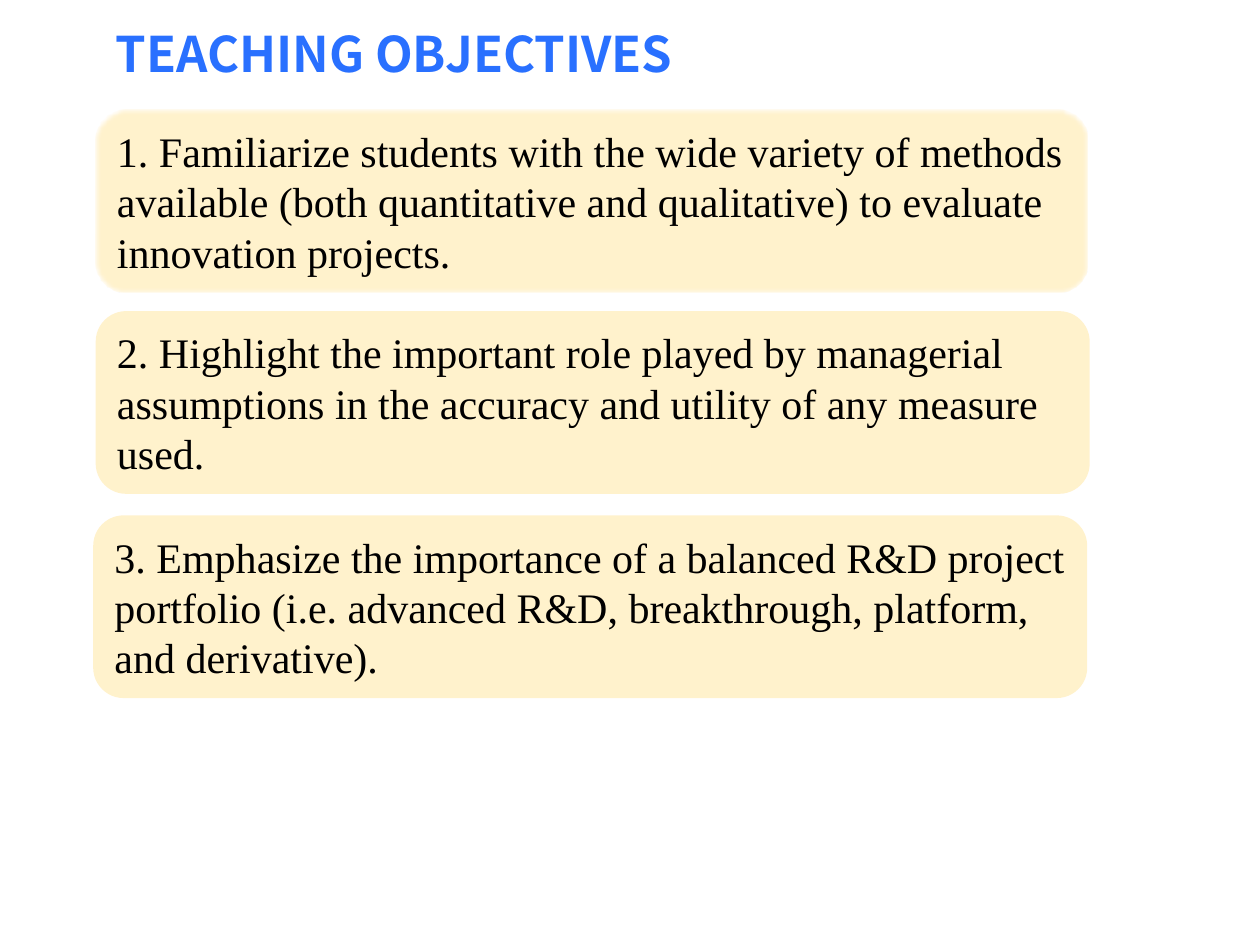
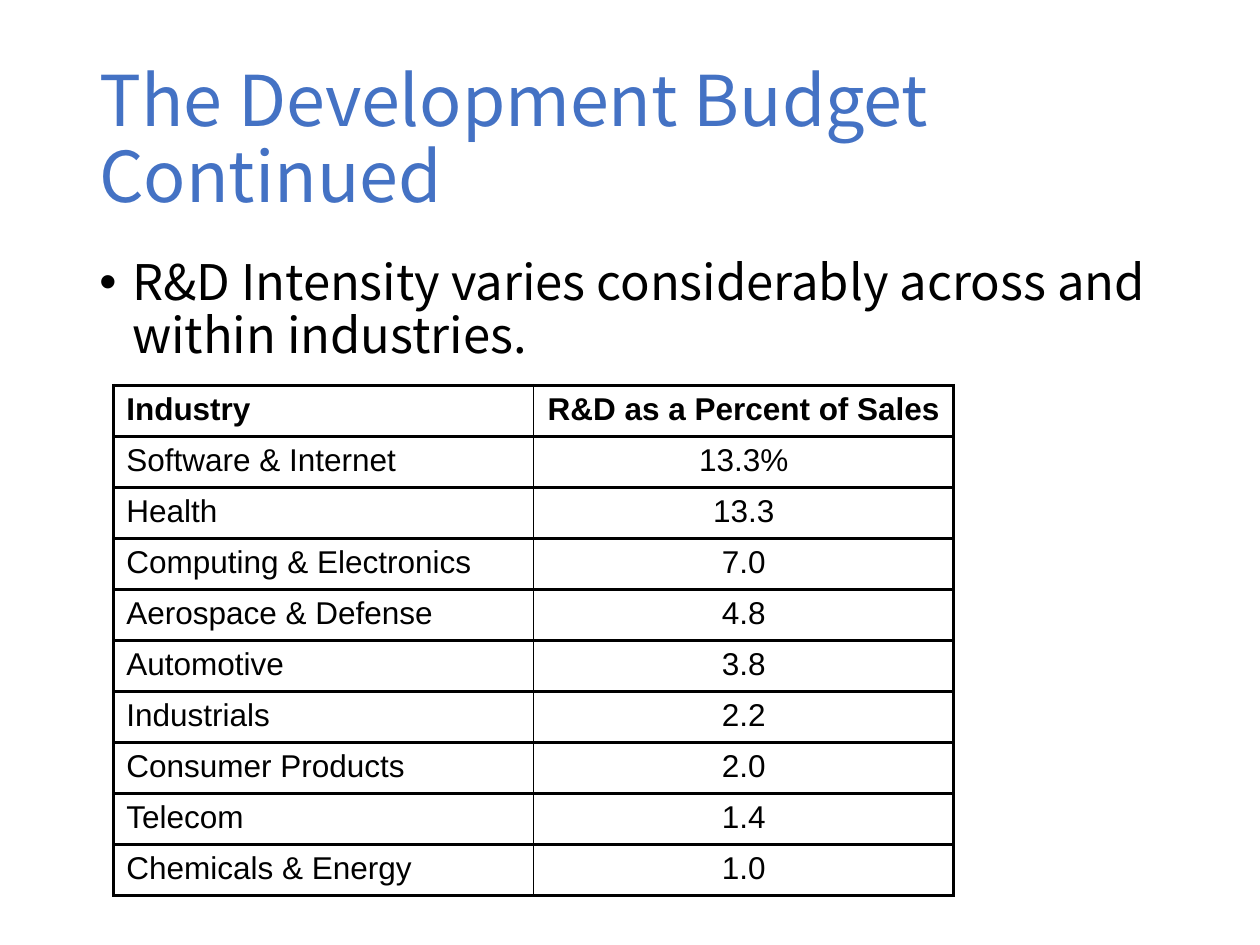
from lxml.etree import SubElement
from pptx import Presentation
from pptx.dml.color import RGBColor
from pptx.enum.shapes import MSO_SHAPE
from pptx.enum.text import MSO_ANCHOR, PP_ALIGN
from pptx.oxml.ns import qn
from pptx.util import Pt

BLUE = RGBColor(0x29, 0x70, 0xFF)
STEEL = RGBColor(0x44, 0x72, 0xC4)
GOLD = RGBColor(0xFF, 0xC0, 0x00)
BLACK = RGBColor(0, 0, 0)
SANS = "Noto Sans CJK SC"
SERIF = "Times New Roman"
GRID = "Arial"

CARD_H = 104.4
GOALS = [
    (54.7, 62.6, 566.6, "1. Familiarize students with the wide variety of methods "
     "available (both quantitative and qualitative) to evaluate innovation projects."),
    (54.7, 177.8, 568, "2. Highlight the important role played by managerial "
     "assumptions in the accuracy and utility of any measure used."),
    (53.3, 294.5, 568, "3. Emphasize the importance of a balanced R&D project "
     "portfolio (i.e. advanced R&D, breakthrough, platform, and derivative)."),
]
SHARES = [
    ("Industry", "R&D as a Percent of Sales"),
    ("Software & Internet", "13.3%"),
    ("Health", "13.3"),
    ("Computing & Electronics", "7.0"),
    ("Aerospace & Defense", "4.8"),
    ("Automotive", "3.8"),
    ("Industrials", "2.2"),
    ("Consumer Products", "2.0"),
    ("Telecom", "1.4"),
    ("Chemicals & Energy", "1.0"),
]


def points(*box):
    return [Pt(n) for n in box]


def write(frame, text, face, size, color, bold=False):
    frame.text = text
    para = frame.paragraphs[0]
    font = para.runs[0].font
    font.name, font.size, font.bold = face, Pt(size), bold
    font.color.rgb = color
    return para


def add_text(slide, box, text, size, color, bold=False, anchor=MSO_ANCHOR.MIDDLE):
    frame = slide.shapes.add_textbox(*points(*box)).text_frame
    frame.word_wrap = True
    frame.vertical_anchor = anchor
    para = write(frame, text, SANS, size, color, bold)
    para.line_spacing = 0.9
    return para


def add_bullet(slide, box, text):
    para = add_text(slide, box, text, 28, BLACK, anchor=MSO_ANCHOR.TOP)
    para.space_before = Pt(7.5)
    props = para._p.get_or_add_pPr()
    props.set("marL", str(Pt(18.75)))
    props.set("indent", str(-Pt(18.75)))
    SubElement(props, qn("a:buFont"), typeface="Arial")
    SubElement(props, qn("a:buChar"), char="•")


def add_card(slide, box, text, soft=False):
    card = slide.shapes.add_shape(MSO_SHAPE.ROUNDED_RECTANGLE, *points(*box))
    card.shadow.inherit = False
    card.line.fill.background()
    card.fill.solid()
    card.fill.fore_color.rgb = GOLD
    # Let the white page show through the gold
    tint = card._element.spPr.find(".//" + qn("a:srgbClr"))
    SubElement(tint, qn("a:alpha"), val="20000")
    if soft:
        effects = card._element.spPr.find(qn("a:effectLst"))
        SubElement(effects, qn("a:softEdge"), rad=str(Pt(1)))
    frame = card.text_frame
    frame.word_wrap = True
    frame.vertical_anchor = MSO_ANCHOR.MIDDLE
    write(frame, text, SERIF, 24, BLACK).alignment = PP_ALIGN.LEFT


def add_borders(cell, widths):
    props = cell._tc.get_or_add_tcPr()
    for side, width in widths.items():
        line = SubElement(props, qn("a:ln" + side), w=str(Pt(width)))
        fill = SubElement(line, qn("a:solidFill"))
        SubElement(fill, qn("a:srgbClr"), val=str(BLACK))


def add_grid(slide, box, rows):
    count = len(rows[0])
    table = slide.shapes.add_table(len(rows), count, *points(*box)).table
    table.first_row = table.horz_banding = False
    for r, row in enumerate(rows):
        table.rows[r].height = Pt(box[3] / len(rows))
        for c, text in enumerate(row):
            cell = table.cell(r, c)
            para = write(cell.text_frame, text, GRID, 18, BLACK, r == 0)
            para.alignment = PP_ALIGN.CENTER if c else PP_ALIGN.LEFT
            # Heavy frame and row rules, thin rule between columns
            add_borders(cell, {"L": 1 if c else 2.25,
                               "R": 2.25 if c == count - 1 else 1,
                               "T": 2.25, "B": 2.25})
            cell.fill.background()


def build_goals(slide):
    add_text(slide, (59, 0, 606, 65), "TEACHING OBJECTIVES", 28, BLUE, True)
    for i, (left, top, width, text) in enumerate(GOALS):
        add_card(slide, (left, top, width, CARD_H), text, soft=i == 0)


def build_budget(slide):
    add_text(slide, (49.7, 28.8, 620.6, 104.4),
             "The Development Budget Continued", 40, STEEL)
    add_bullet(slide, (49.7, 144, 620.6, 342.7),
               "R&D Intensity varies considerably across and within industries.")
    add_grid(slide, (65, 220.3, 480, 291.6), SHARES)


def main():
    deck = Presentation()
    deck.slide_width, deck.slide_height = points(720, 540)
    for build in (build_goals, build_budget):
        build(deck.slides.add_slide(deck.slide_layouts[6]))
    deck.save("out.pptx")


if __name__ == "__main__":
    main()
